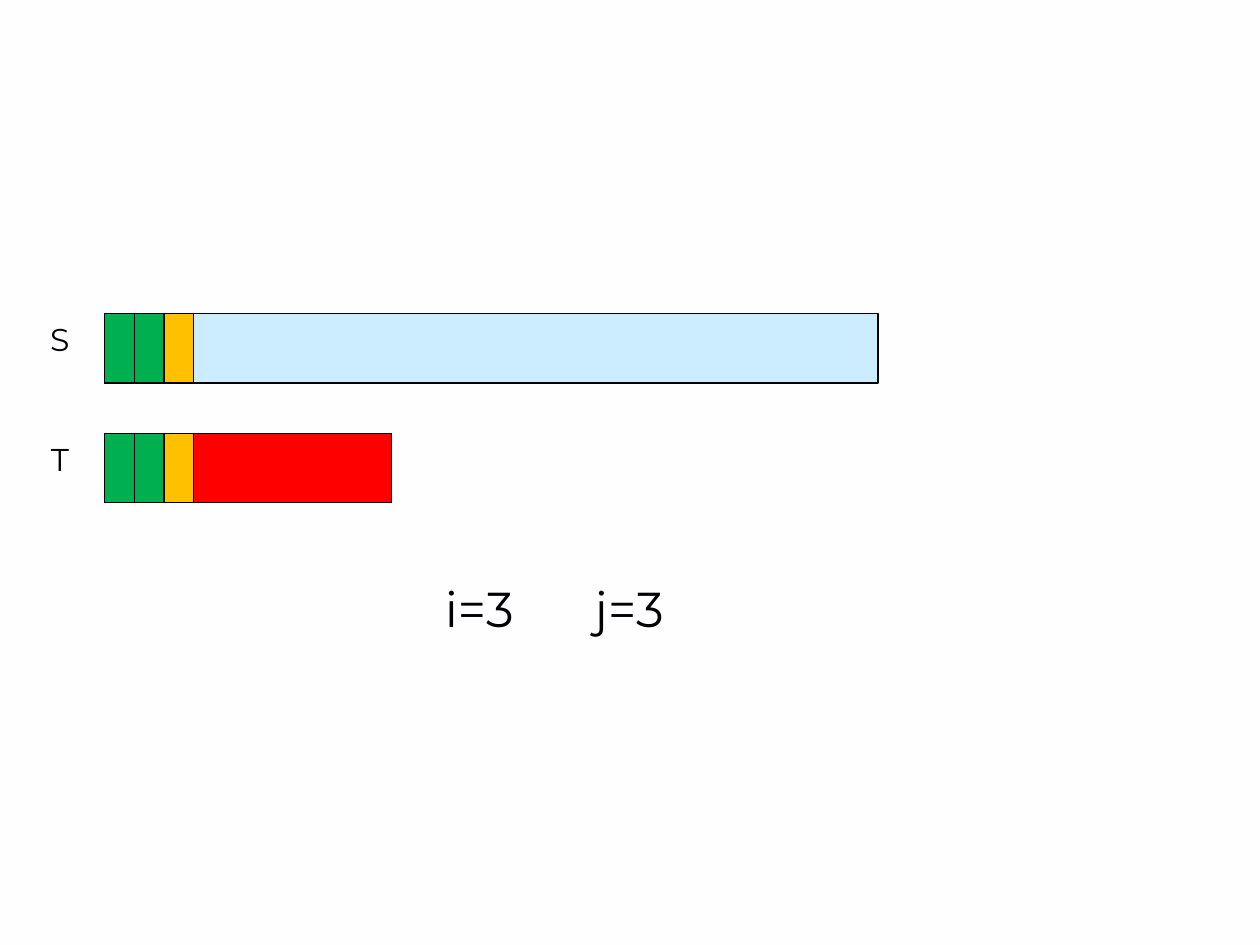
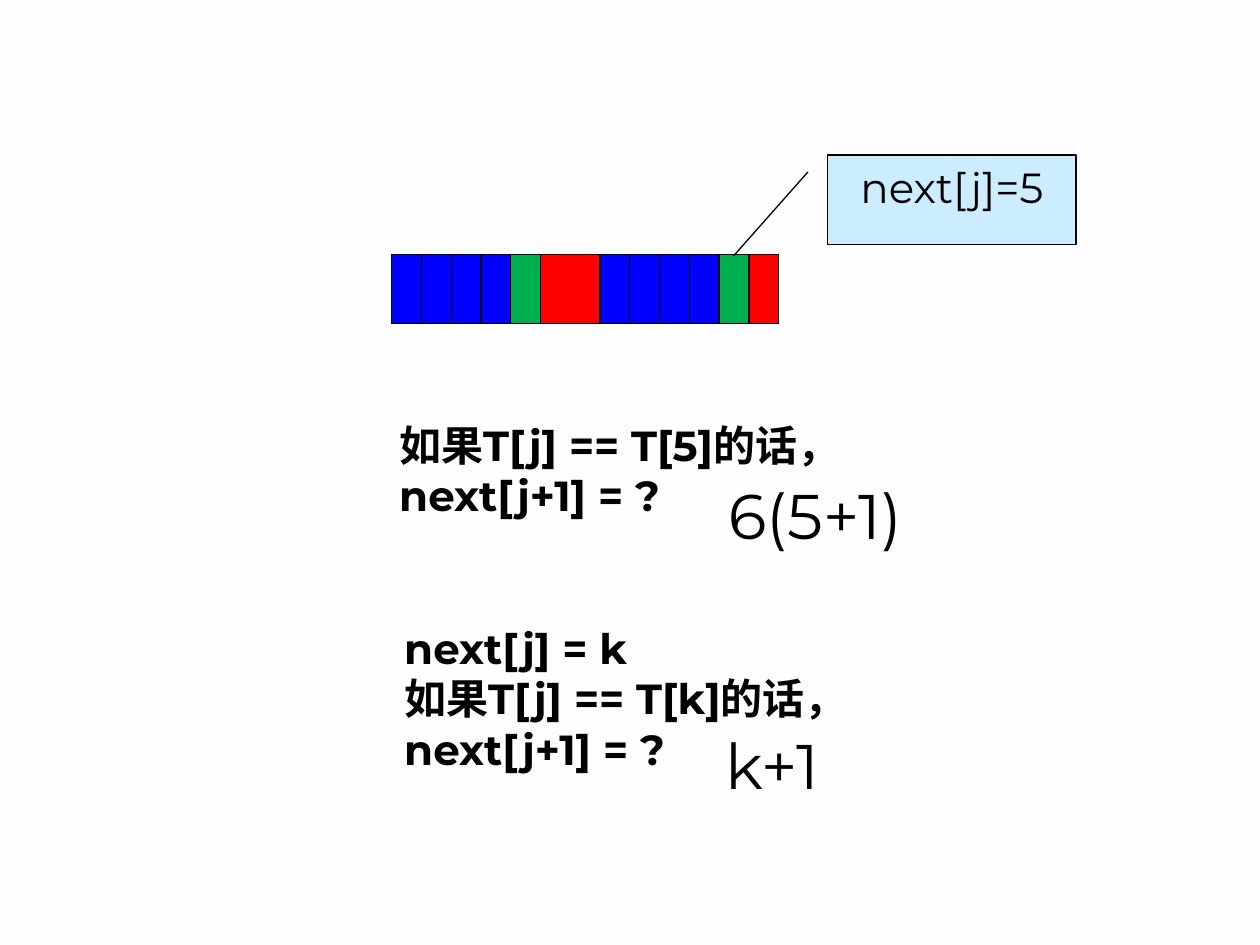
from dataclasses import dataclass

from lxml import etree
from pptx import Presentation
from pptx.dml.color import RGBColor
from pptx.enum.shapes import MSO_SHAPE
from pptx.enum.text import MSO_ANCHOR, PP_ALIGN
from pptx.oxml.ns import qn
from pptx.shapes.autoshape import Shape
from pptx.slide import Slide
from pptx.util import Inches, Pt

RECTANGLE = MSO_SHAPE.RECTANGLE
CALLOUT = MSO_SHAPE.LINE_CALLOUT_1
TOP = MSO_ANCHOR.TOP
LEFT, CENTER = PP_ALIGN.LEFT, PP_ALIGN.CENTER

PAPER = RGBColor(0xFE, 0xFD, 0xFF)
INK = RGBColor(0x00, 0x00, 0x00)
SKY = RGBColor(0xCC, 0xEC, 0xFF)
RED = RGBColor(0xFF, 0x00, 0x00)
GREEN = RGBColor(0x00, 0xB0, 0x50)
AMBER = RGBColor(0xFF, 0xC0, 0x00)
BLUE = RGBColor(0x00, 0x00, 0xFF)

FONT = "Montserrat"
BAR_HEIGHT = 0.55
CELL_WIDTH = 3.07 / 13
PATTERN_LEFT = 3.11
MATCHED_PREFIX = {0: GREEN, 1: GREEN, 2: AMBER}
REPEATED_BLOCK = (BLUE, BLUE, BLUE, BLUE, GREEN)
BLOCK_STARTS = (0, 7)


@dataclass(frozen=True)
class Bar:
    """A string drawn as a bar, with coloured characters by index."""

    left: float
    top: float
    width: float
    color: RGBColor
    cells: dict[int, RGBColor]
    label: str = ""


@dataclass(frozen=True)
class Note:
    """A text box with its place and format."""

    text: str
    left: float
    top: float
    width: float
    height: float
    size: int
    bold: bool = False
    align: PP_ALIGN = CENTER
    wrap: bool = True
    indent: float = 0.1
    tab: float = 0


COMPARED_BARS = (
    Bar(0.83, 2.49, 6.14, SKY, MATCHED_PREFIX, "S"),
    Bar(0.83, 3.44, 2.28, RED, MATCHED_PREFIX, "T"),
)
INDICES = Note("i=3\tj=3", 3.11, 4.54, 2.59, 0.57, 28,
               align=LEFT, indent=0.42, tab=1.19)

PATTERN_BAR = Bar(
    PATTERN_LEFT, 2.02, 13 * CELL_WIDTH, RED,
    {start + step: color for start in BLOCK_STARTS
     for step, color in enumerate(REPEATED_BLOCK)},
)
QUESTIONS = (
    Note("如果T[j] == T[5]的话，\nnext[j+1] = ?", 3.07, 3.28, 3.98, 0.9, 24,
         bold=True, align=LEFT),
    Note("6(5+1)", 5.65, 3.73, 1.64, 0.7, 36, wrap=False),
    Note("next[j] = k\n如果T[j] == T[k]的话，\nnext[j+1] = ?",
         3.11, 4.89, 3.98, 1.3, 24, bold=True, align=LEFT),
    Note("k+1", 5.61, 5.72, 1.04, 0.7, 36, wrap=False),
)


def write(shape: Shape, text: str, *, size: int, bold: bool = False,
          align: PP_ALIGN = CENTER, wrap: bool = True,
          indent: float = 0.1, tab: float = 0) -> None:
    """Fill a shape with formatted text, one paragraph a line."""
    frame = shape.text_frame
    frame.word_wrap = wrap
    frame.vertical_anchor = TOP
    frame.margin_left = Inches(indent)
    frame.text = text
    for paragraph in frame.paragraphs:
        paragraph.alignment = align
        if tab:
            stops = etree.SubElement(paragraph._p.get_or_add_pPr(), qn("a:tabLst"))
            etree.SubElement(stops, qn("a:tab"), pos=str(Inches(tab)), algn="l")
        for run in paragraph.runs:
            run.font.name = FONT
            run.font.size = Pt(size)
            run.font.bold = bold
            run.font.color.rgb = INK


def add_note(slide: Slide, note: Note) -> None:
    """Add a text box."""
    box = slide.shapes.add_textbox(Inches(note.left), Inches(note.top),
                                   Inches(note.width), Inches(note.height))
    write(box, note.text, size=note.size, bold=note.bold, align=note.align,
          wrap=note.wrap, indent=note.indent, tab=note.tab)


def add_outlined(slide: Slide, kind: MSO_SHAPE, left: float, top: float,
                 width: float, height: float, color: RGBColor) -> Shape:
    """Add a filled shape with a thin dark outline."""
    shape = slide.shapes.add_shape(kind, Inches(left), Inches(top),
                                   Inches(width), Inches(height))
    shape.shadow.inherit = False
    shape.fill.solid()
    shape.fill.fore_color.rgb = color
    shape.line.color.rgb = INK
    shape.line.width = Pt(0.75)
    return shape


def add_bar(slide: Slide, bar: Bar) -> None:
    """Add a string bar, its coloured characters and its label."""
    add_outlined(slide, RECTANGLE, bar.left, bar.top, bar.width, BAR_HEIGHT, bar.color)
    for index, color in bar.cells.items():
        add_outlined(slide, RECTANGLE, bar.left + index * CELL_WIDTH, bar.top,
                     CELL_WIDTH, BAR_HEIGHT, color)
    if bar.label:
        add_note(slide, Note(bar.label, bar.left - 0.71, bar.top, 0.71, 0.4, 18))


def add_slide(deck: Presentation) -> Slide:
    """Add a blank slide with the shared background."""
    slide = deck.slides.add_slide(deck.slide_layouts[6])
    slide.background.fill.solid()
    slide.background.fill.fore_color.rgb = PAPER
    return slide


def build_comparison(deck: Presentation) -> None:
    """Build the slide that compares S with T."""
    slide = add_slide(deck)
    for bar in COMPARED_BARS:
        add_bar(slide, bar)
    add_note(slide, INDICES)


def build_next_rule(deck: Presentation) -> None:
    """Build the slide that derives next[j+1]."""
    slide = add_slide(deck)
    add_bar(slide, PATTERN_BAR)
    next_value = add_outlined(slide, CALLOUT, 6.57, 1.23, 1.97, 0.71, SKY)
    for index, value in enumerate((0.19, -0.08, 1.13, -0.38)):
        next_value.adjustments[index] = value
    write(next_value, "next[j]=5", size=24)
    for note in QUESTIONS:
        add_note(slide, note)


def main() -> None:
    """Build and save the deck."""
    deck = Presentation()
    deck.slide_width = Inches(10)
    deck.slide_height = Inches(7.5)
    build_comparison(deck)
    build_next_rule(deck)
    deck.save("out.pptx")


if __name__ == "__main__":
    main()
